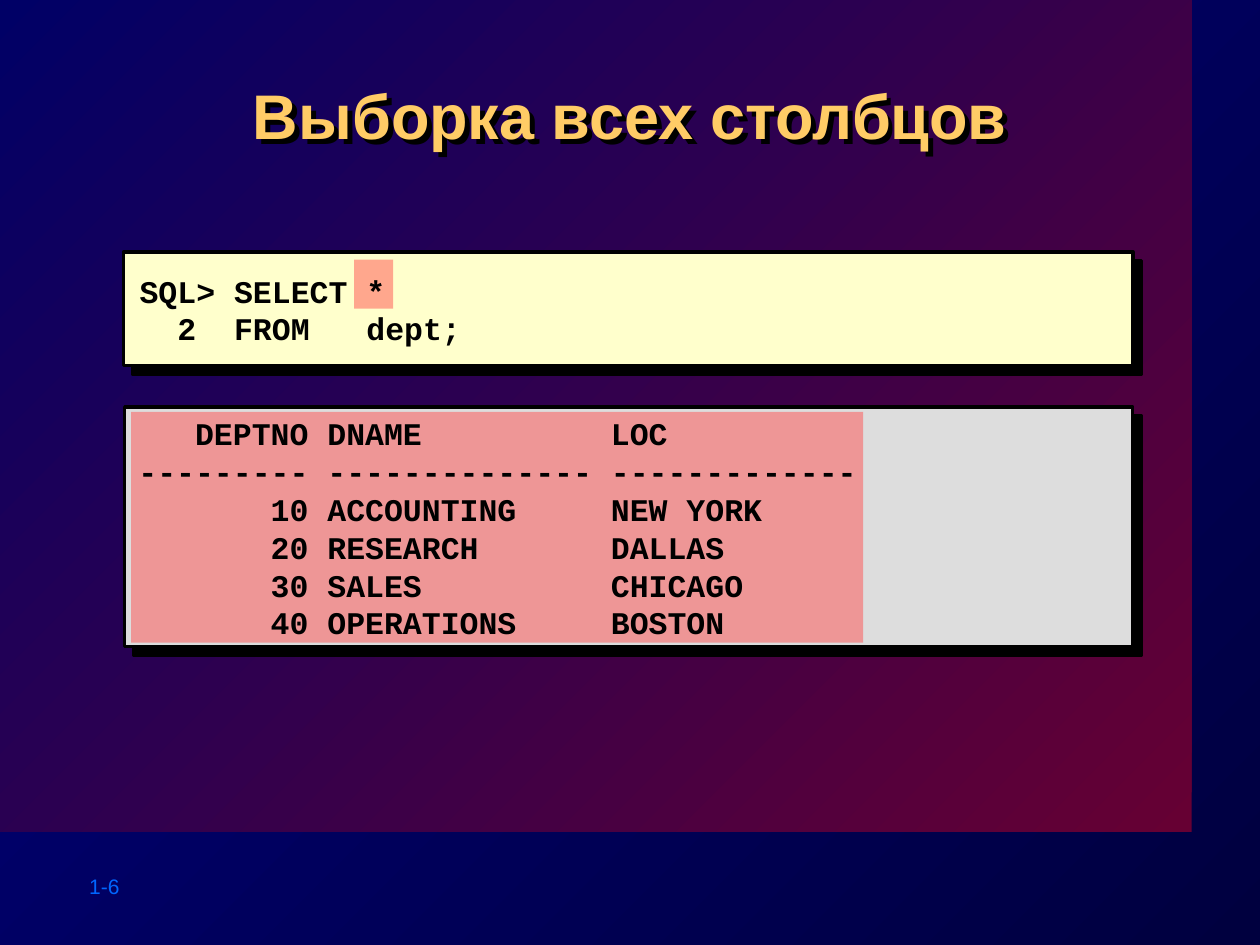
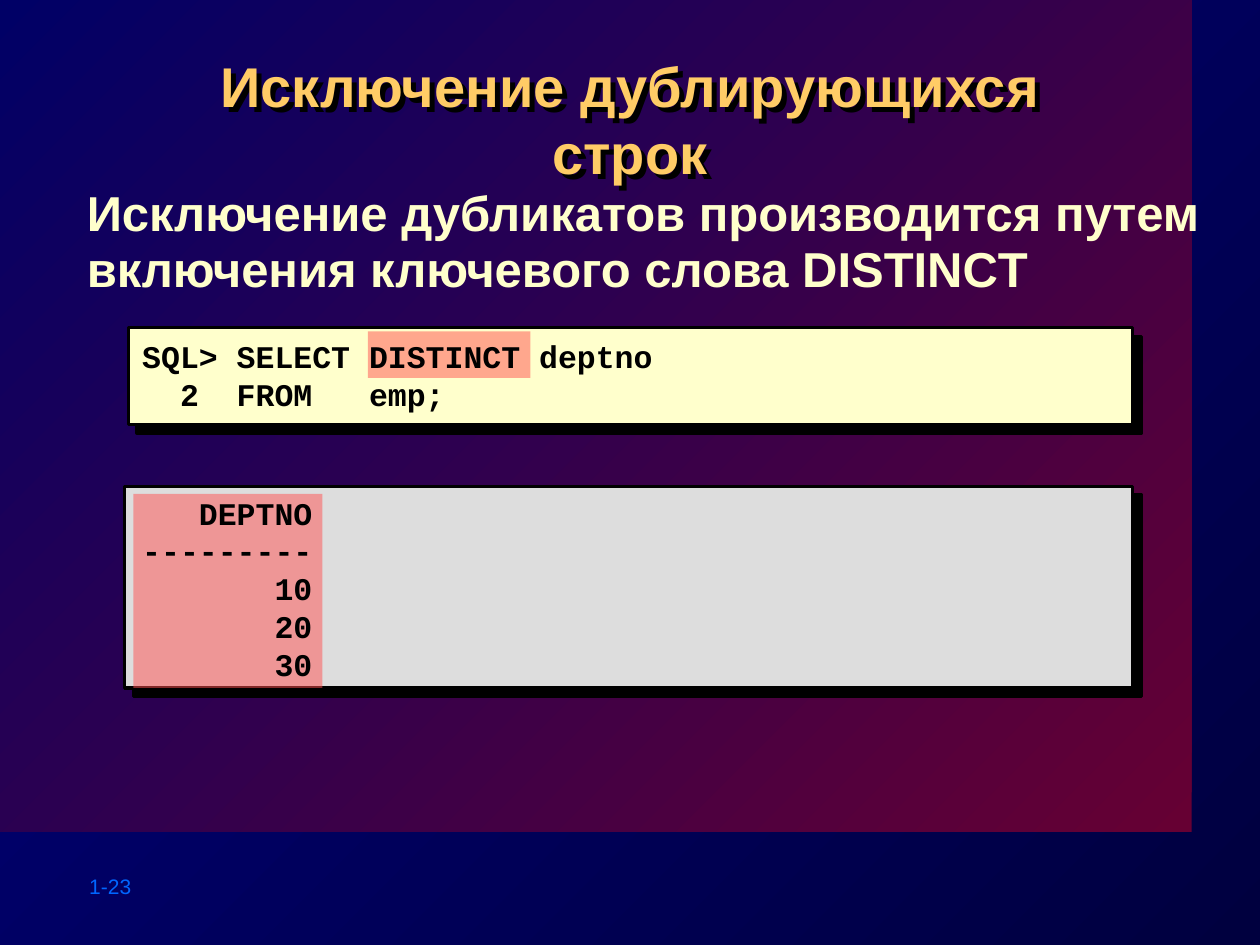
from lxml import etree
from pptx import Presentation
from pptx import util as u
from pptx.dml.color import RGBColor
from pptx.enum import shapes, text
from pptx.oxml.ns import qn

Pt = u.Pt

COLORS = {
    "back_dark": "00003F", "back_light": "000080",
    "panel_red": "660033", "panel_blue": "000066",
    "title": "FFCC66", "body": "FFFFCC", "number": "0066FF",
    "code_box": "FFFFCC", "result_box": "DDDDDD",
    "highlight": "FF5050", "black": "000000",
}
SANS, MONO = "Arial", "Courier New"
CODE_SIZE = 18
CHARACTER = CODE_SIZE * 0.6  # advance of one monospaced letter

# Tab stops as (column in letters, alignment)
CODE_TABS = [(3, "r"), (5, "l"), (12, "l")]
RESULT_TABS = [(9, "r"), (10, "l"), (25, "l")]

# Boxes are (left, top, width, height) in points
SLIDES = [
    {
        "number": "1-6",
        "title": ("Выборка всех столбцов", 36, 40.3),
        "code": [("SQL>", "SELECT", "*"), ("", "2", "FROM", "dept;")],
        "code_box": (70.6, 144, 576.7, 64.8),
        "code_text": (72.7, 143.3, 573.1, 67),
        "result": [
            ("DEPTNO", "DNAME", "LOC"),
            ("-" * 9, "-" * 14, "-" * 13),
            ("10", "ACCOUNTING", "NEW YORK"),
            ("20", "RESEARCH", "DALLAS"),
            ("30", "SALES", "CHICAGO"),
            ("40", "OPERATIONS", "BOSTON"),
        ],
        "result_box": (71.3, 232.6, 576, 136.8),
        "result_text": (72, 233.3, 573.8, 136.8),
        "highlights": [(202.3, 148.3, 22.3, 28.1), (74.9, 235.4, 418.3, 131.8)],
    },
    {
        "number": "1-23",
        "title": ("Исключение дублирующихся строк", 32, 25.9),
        "body": "Исключение дубликатов производится путем "
                "включения ключевого слова DISTINCT",
        "code": [("SQL>", "SELECT", "DISTINCT deptno"), ("", "2", "FROM", "emp;")],
        "code_box": (73.4, 187.2, 573.9, 55.4),
        "code_text": (74.2, 185.8, 576, 56.9),
        "result": [("DEPTNO",), ("-" * 9,), ("10",), ("20",), ("30",)],
        "result_box": (71.3, 277.9, 576, 115.2),
        "result_text": (74.2, 278.6, 573.8, 136.8),
        "highlights": [(210.2, 189.4, 92.9, 26.6), (76.3, 282.2, 108, 110.9)],
    },
]


def rgb(name):
    return RGBColor.from_string(COLORS[name])


def set_gradient(fill, start, end):
    """Blend from the lower right corner to the upper left one."""
    fill.gradient()
    fill.gradient_angle = 135
    for stop, name in zip(fill.gradient_stops, (start, end)):
        stop.color.rgb = rgb(name)


def add_shadow(shape, distance):
    shape.shadow.inherit = False
    effects = shape._element.spPr.find(qn("a:effectLst"))
    shadow = etree.SubElement(effects, qn("a:outerShdw"), dist=str(Pt(distance)),
                              dir="2700000", algn="ctr", rotWithShape="0")
    etree.SubElement(shadow, qn("a:srgbClr"), val=COLORS["black"])


def add_rectangle(slide, box):
    shape = slide.shapes.add_shape(shapes.MSO_SHAPE.RECTANGLE, *map(Pt, box))
    shape.shadow.inherit = False
    shape.line.fill.background()
    return shape


def add_framed_box(slide, box, color):
    shape = add_rectangle(slide, box)
    shape.fill.solid()
    shape.fill.fore_color.rgb = rgb(color)
    shape.line.color.rgb = rgb("black")
    shape.line.width = Pt(2)
    add_shadow(shape, 7.1)


def add_highlight(slide, box):
    shape = add_rectangle(slide, box)
    shape.fill.solid()
    shape.fill.fore_color.rgb = rgb("highlight")
    color = shape._element.spPr.find(qn("a:solidFill"))[0]
    etree.SubElement(color, qn("a:alpha"), val="50000")


def add_text(slide, box, lines, size, color, font=SANS, bold=True,
             anchor=text.MSO_ANCHOR.TOP):
    shape = slide.shapes.add_textbox(*map(Pt, box))
    frame = shape.text_frame
    frame.word_wrap = True
    frame.vertical_anchor = anchor
    for index, line in enumerate(lines):
        paragraph = frame.add_paragraph() if index else frame.paragraphs[0]
        run = paragraph.add_run()
        run.text = line
        run.font.size = Pt(size)
        run.font.name = font
        run.font.bold = bold
        run.font.color.rgb = rgb(color)
    return shape


def add_columns(slide, box, rows, tabs, anchor=text.MSO_ANCHOR.TOP):
    """Write monospaced rows whose cells line up on tab stops."""
    shape = add_text(slide, box, ["\t".join(row) for row in rows], CODE_SIZE,
                     "black", MONO, anchor=anchor)
    for paragraph in shape.text_frame.paragraphs:
        properties = paragraph._p.get_or_add_pPr()
        tab_list = etree.SubElement(properties, qn("a:tabLst"))
        for column, alignment in tabs:
            etree.SubElement(tab_list, qn("a:tab"),
                             pos=str(Pt(column * CHARACTER)), algn=alignment)


def add_slide(presentation, content):
    slide = presentation.slides.add_slide(presentation.slide_layouts[6])
    set_gradient(slide.background.fill, "back_dark", "back_light")
    panel = add_rectangle(slide, (0, 0, 681, 475.2))
    set_gradient(panel.fill, "panel_red", "panel_blue")
    add_text(slide, (43.9, 495.4, 79.9, 21.6), [content["number"]], 12,
             "number", bold=False)

    add_framed_box(slide, content["code_box"], "code_box")
    add_framed_box(slide, content["result_box"], "result_box")
    for box in content["highlights"]:
        add_highlight(slide, box)

    title, size, top = content["title"]
    heading = add_text(slide, (72.7, top, 574.6, 69.1), [title], size, "title")
    heading.text_frame.paragraphs[0].alignment = text.PP_ALIGN.CENTER
    add_shadow(heading, 4)

    if "body" in content:
        body = add_text(slide, (42.5, 103, 677.5, 71.3), [content["body"]], 28, "body")
        paragraph = body.text_frame.paragraphs[0]
        paragraph.line_spacing = 0.95
        paragraph.space_before = Pt(1.8)

    add_columns(slide, content["code_text"], content["code"], CODE_TABS,
                text.MSO_ANCHOR.MIDDLE)
    result = [("", *row) for row in content["result"]]
    add_columns(slide, content["result_text"], result, RESULT_TABS)


def main():
    presentation = Presentation()
    presentation.slide_width, presentation.slide_height = Pt(720), Pt(540)
    for content in SLIDES:
        add_slide(presentation, content)
    presentation.save("out.pptx")


if __name__ == "__main__":
    main()
